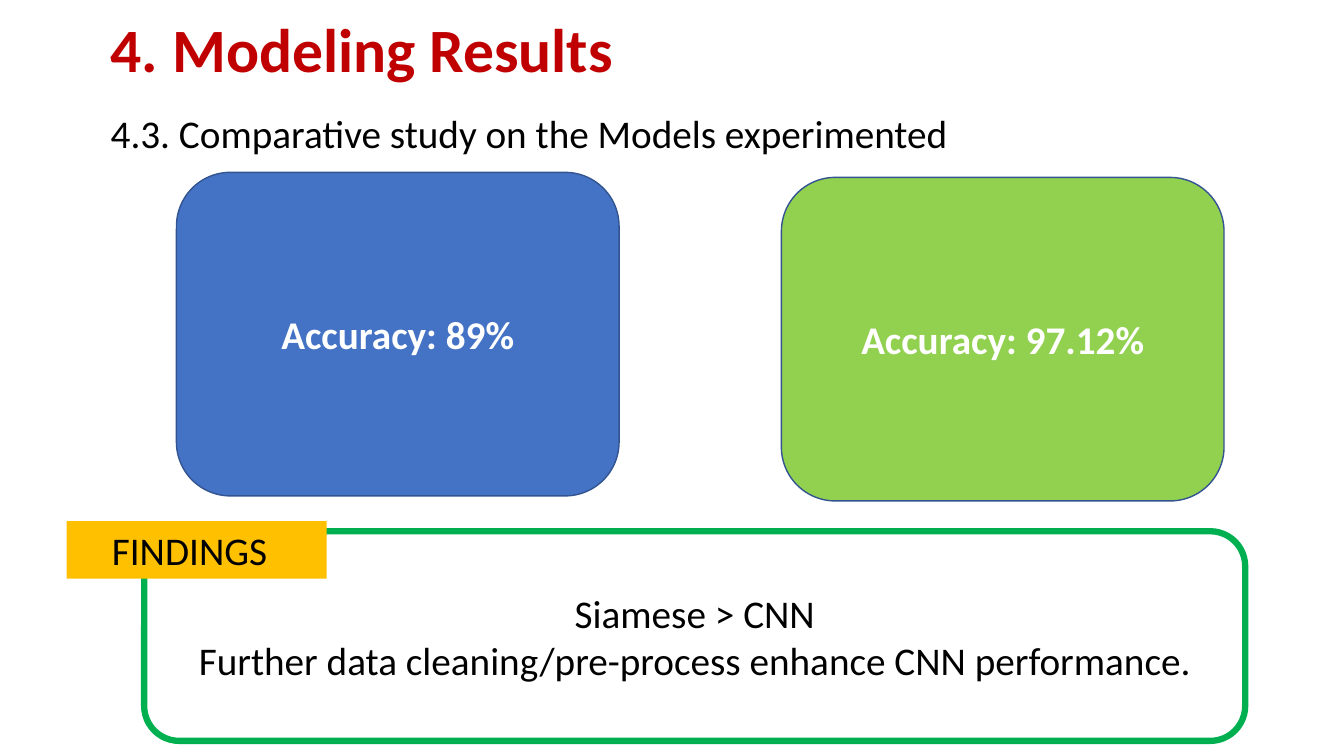
from pptx import Presentation
from pptx import util as u
from pptx.dml import color
from pptx.enum import shapes, text

Inches = u.Inches


def paint(target, value):
    target.solid()
    target.fore_color.rgb = color.RGBColor.from_string(value)


def write(shape, content, size=28, font_color="000000", bold=False,
          align=text.PP_ALIGN.LEFT, anchor=text.MSO_ANCHOR.TOP):
    frame = shape.text_frame
    frame.text = content
    frame.word_wrap = True
    frame.vertical_anchor = anchor
    for paragraph in frame.paragraphs:
        paragraph.alignment = align
        for run in paragraph.runs:
            run.font.name = "Calibri"
            run.font.size = u.Pt(size)
            run.font.bold = bold
            paint(run.font.fill, font_color)


presentation = Presentation()
presentation.slide_width = Inches(13.33)
presentation.slide_height = Inches(7.5)
slide = presentation.slides.add_slide(presentation.slide_layouts[6])

middle = text.MSO_ANCHOR.MIDDLE
center = text.PP_ALIGN.CENTER
rounded = shapes.MSO_SHAPE.ROUNDED_RECTANGLE

title = slide.shapes.add_textbox(Inches(1), Inches(0), Inches(11.33), Inches(1.04))
write(title, "4. Modeling Results", 44, "C00000", True, anchor=middle)
title.text_frame.paragraphs[0].line_spacing = 0.9

subtitle = slide.shapes.add_textbox(Inches(1), Inches(1.04), Inches(11.66), Inches(1.04))
write(subtitle, "4.3. Comparative study on the Models experimented")

for left, top, fill, accuracy in [
    (1.75, 1.71, "4472C4", "Accuracy: 89%"),
    (7.75, 1.76, "92D050", "Accuracy: 97.12%"),
]:
    card = slide.shapes.add_shape(rounded, Inches(left), Inches(top), Inches(4.39), Inches(3.21))
    card.shadow.inherit = False
    paint(card.fill, fill)
    paint(card.line.fill, "325491")
    card.line.width = u.Pt(1)
    write(card, accuracy, font_color="FFFFFF", bold=True, align=center, anchor=middle)

findings = slide.shapes.add_shape(rounded, Inches(1.43), Inches(5.27), Inches(10.92), Inches(2.08))
findings.shadow.inherit = False
findings.fill.background()
paint(findings.line.fill, "00B050")
findings.line.width = u.Pt(4.5)
write(findings, "Siamese > CNN\nFurther data cleaning/pre-process enhance CNN performance.",
      align=center, anchor=middle)

label = slide.shapes.add_shape(shapes.MSO_SHAPE.RECTANGLE,
                               Inches(0.66), Inches(5.17), Inches(2.58), Inches(0.57))
label.shadow.inherit = False
paint(label.fill, "FFC000")
label.line.fill.background()
write(label, "FINDINGS")
label.text_frame.margin_left = Inches(0.45)

presentation.save("out.pptx")
